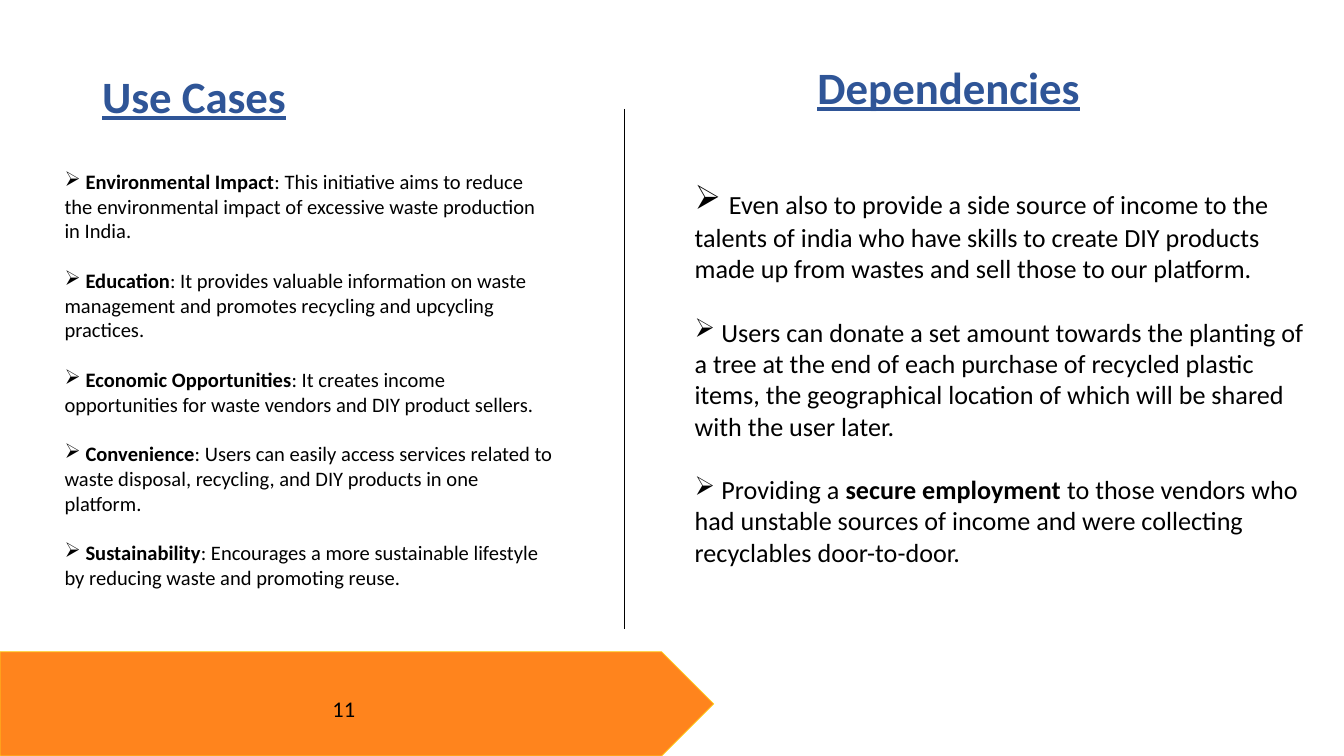
from typing import NamedTuple

from lxml.etree import SubElement
from pptx import Presentation
from pptx.dml.color import RGBColor
from pptx.enum.shapes import MSO_CONNECTOR, MSO_SHAPE
from pptx.enum.text import MSO_ANCHOR, MSO_AUTO_SIZE, PP_ALIGN
from pptx.oxml.ns import qn
from pptx.util import Cm, Pt

FONT = "Calibri"
BLACK = "000000"
HEADING_BLUE = "2F5597"
ORANGE = "FF841D"
YELLOW = "FFD41D"
LINE_HEIGHT = 1.22  # height of a Calibri line relative to its size


class Box(NamedTuple):
    """Position and size in centimetres."""
    left: float
    top: float
    width: float
    height: float

    def lengths(self) -> tuple:
        return tuple(Cm(value) for value in self)


class Point(NamedTuple):
    """One bullet: plain text, bold text, plain text."""
    before: str
    bold: str
    after: str
    bullet_size: float


class Column(NamedTuple):
    heading: str
    heading_box: Box
    body_box: Box
    size: float
    points: list


COLUMNS = [
    Column("Use Cases", Box(1.75, 1.32, 10.08, 0.66), Box(0.97, 3.07, 9.78, 8.26), 11, [
        Point(" ", "Environmental Impact", ": This initiative aims to reduce the environmental "
              "impact of excessive waste production in India.", 11),
        Point(" ", "Education", ": It provides valuable information on waste management and "
              "promotes recycling and upcycling practices.", 11),
        Point(" ", "Economic Opportunities", ": It creates income opportunities for waste "
              "vendors and DIY product sellers.", 11),
        Point(" ", "Convenience", ": Users can easily access services related to waste "
              "disposal, recycling, and DIY products in one platform.", 11),
        Point(" ", "Sustainability", ": Encourages a more sustainable lifestyle by reducing "
              "waste and promoting reuse.", 11),
    ]),
    Column("Dependencies", Box(15.27, 1.14, 10.08, 0.66), Box(12.88, 3.3, 12.12, 7.6), 14, [
        Point(" ", "", "Even also to provide a side source of income to the talents of india "
              "who have skills to create DIY products made up from wastes and sell those to "
              "our platform.", 18),
        Point(" Users can donate a set amount towards the planting of a tree at the end of "
              "each purchase of recycled plastic items, the geographical location of which "
              "will be shared with the user later.", "", "", 14),
        Point(" Providing a ", "secure employment", " to those vendors who had unstable "
              "sources of income and were collecting recyclables door-to-door.", 14),
    ]),
]


def color(value: str) -> RGBColor:
    return RGBColor.from_string(value)


def format_run(run, size: float, hex_color: str = BLACK, bold: bool = False) -> None:
    run.font.name = FONT
    run.font.size = Pt(size)
    run.font.bold = bold
    run.font.color.rgb = color(hex_color)


def add_heading(slide, text: str, box: Box) -> None:
    text_frame = slide.shapes.add_textbox(*box.lengths()).text_frame
    text_frame.word_wrap = True
    text_frame.margin_left = text_frame.margin_right = Cm(0.18)
    text_frame.margin_top = text_frame.margin_bottom = Cm(0.1)
    text_frame.text = text
    paragraph = text_frame.paragraphs[0]
    paragraph.line_spacing = 0.9
    format_run(paragraph.runs[0], 24, HEADING_BLUE, bold=True)
    paragraph.runs[0].font.underline = True


def add_bullets(slide, points: list, box: Box, size: float) -> None:
    text_frame = slide.shapes.add_textbox(*box.lengths()).text_frame
    text_frame.word_wrap = True
    text_frame.auto_size = MSO_AUTO_SIZE.SHAPE_TO_FIT_TEXT
    for index, point in enumerate(points):
        paragraph = text_frame.add_paragraph() if index else text_frame.paragraphs[0]
        if index:
            paragraph.space_before = Pt(round(size * LINE_HEIGHT, 1))
        properties = paragraph._p.get_or_add_pPr()
        SubElement(properties, qn("a:buChar")).set("char", "➢")
        parts = [(point.before, point.bullet_size, False),
                 (point.bold, size, True),
                 (point.after, size, False)]
        for text, run_size, bold in parts:
            if text:
                run = paragraph.add_run()
                run.text = text
                format_run(run, run_size, bold=bold)


def add_divider(slide, x: float, top: float, bottom: float) -> None:
    divider = slide.shapes.add_connector(
        MSO_CONNECTOR.STRAIGHT, Cm(x), Cm(top), Cm(x), Cm(bottom))
    divider.line.color.rgb = color(BLACK)
    divider.line.width = Pt(0.5)
    SubElement(divider._element.spPr, qn("a:effectLst"))


def add_page_banner(slide, number: str, box: Box) -> None:
    shape = slide.shapes.add_shape(MSO_SHAPE.PENTAGON, *box.lengths())
    shape.shadow.inherit = False
    shape.fill.solid()
    shape.fill.fore_color.rgb = color(ORANGE)
    shape.line.color.rgb = color(YELLOW)
    shape.line.width = Pt(0.42)
    text_frame = shape.text_frame
    text_frame.margin_left = text_frame.margin_right = Cm(0.76)
    text_frame.margin_top = text_frame.margin_bottom = Cm(0.56)
    text_frame.vertical_anchor = MSO_ANCHOR.MIDDLE
    text_frame.text = number
    paragraph = text_frame.paragraphs[0]
    paragraph.alignment = PP_ALIGN.CENTER
    paragraph.line_spacing = Pt(19.2)
    format_run(paragraph.runs[0], 12)


def main() -> None:
    presentation = Presentation()
    presentation.slide_width = Cm(25.4)
    presentation.slide_height = Cm(14.29)
    slide = presentation.slides.add_slide(presentation.slide_layouts[6])

    # Two columns with a divider between them
    for column in COLUMNS:
        add_heading(slide, column.heading, column.heading_box)
        add_bullets(slide, column.points, column.body_box, column.size)
    add_divider(slide, 11.81, 2.06, 11.89)

    # Page number
    add_page_banner(slide, "11", Box(0, 12.32, 13.49, 1.97))

    presentation.save("out.pptx")


if __name__ == "__main__":
    main()
